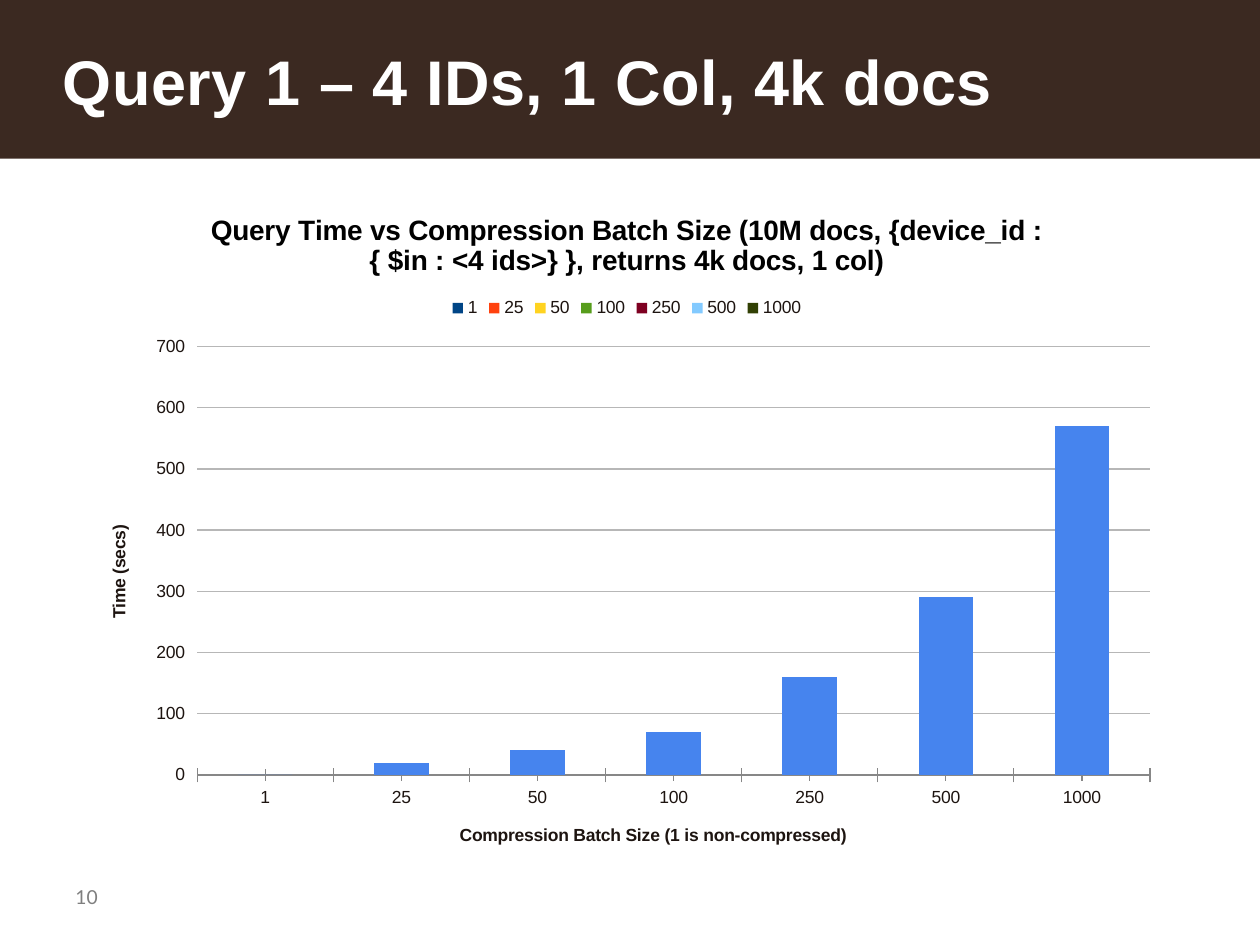
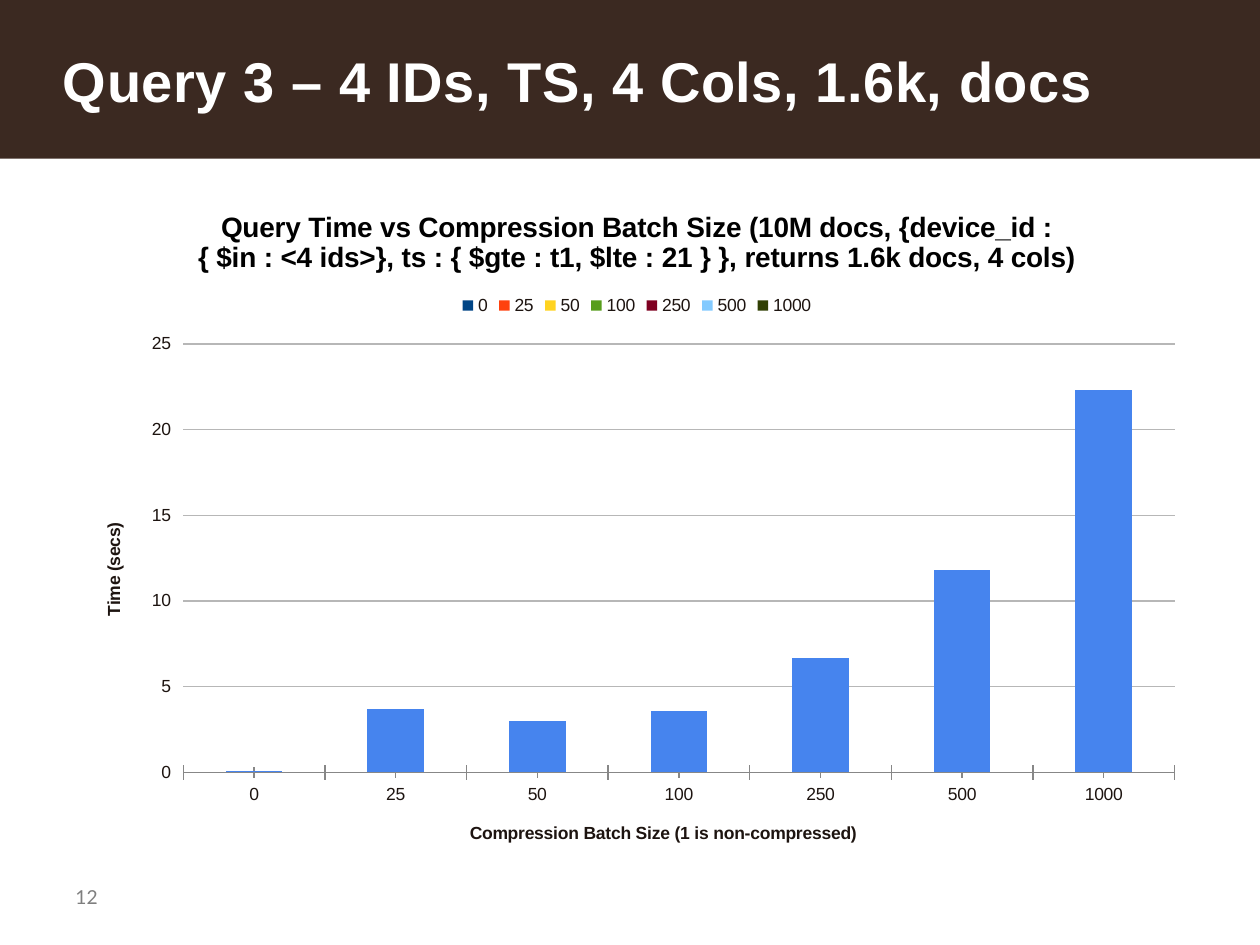
from pptx import Presentation
from pptx.chart.data import CategoryChartData
from pptx.dml.color import RGBColor
from pptx.enum.chart import XL_CHART_TYPE, XL_LEGEND_POSITION, XL_TICK_MARK
from pptx.enum.shapes import MSO_SHAPE
from pptx.enum.text import MSO_ANCHOR
from pptx.util import Inches, Pt

BROWN, WHITE, GRAY = "3B2921", "FFFFFF", "7F7F7F"
INK, BLACK, BLUE, GRID, AXIS = "1D1410", "000000", "4684EE", "B7B7B7", "878787"
BODY_FONT, NUMBER_FONT = "Arial", "Lato"
BAND_BOX = (0, 0, 10, 1.26)
TITLE_BOX = (0.5, 0.01, 9, 1.25)
NUMBER_BOX = (0.5, 6.98, 2.34, 0.28)


def color(value):
    return RGBColor.from_string(value)


def place(box):
    return [Inches(length) for length in box]


def style(font, size, hue, bold=False, name=BODY_FONT):
    font.name, font.size, font.bold = name, Pt(size), bold
    font.color.rgb = color(hue)


def add_text(page, box, text, size, hue, bold=False, name=BODY_FONT):
    shape = page.shapes.add_textbox(*place(box))
    shape.text_frame.word_wrap = True
    paragraph = shape.text_frame.paragraphs[0]
    paragraph.text = text
    style(paragraph.font, size, hue, bold, name)
    return shape.text_frame


def add_header(page, title, size):
    # Dark band across the top
    band = page.shapes.add_shape(MSO_SHAPE.RECTANGLE, *place(BAND_BOX))
    band.shadow.inherit = False
    band.fill.solid()
    band.fill.fore_color.rgb = color(BROWN)
    band.line.fill.background()
    # Slide title, slightly letterspaced
    frame = add_text(page, TITLE_BOX, title, size, WHITE, bold=True)
    frame.vertical_anchor = MSO_ANCHOR.MIDDLE
    frame.margin_left = frame.margin_right = 0
    frame.margin_top = frame.margin_bottom = 0
    frame.paragraphs[0].runs[0].font._element.set("spc", "30")


def add_footer(page, number):
    add_text(page, NUMBER_BOX, str(number), 11, GRAY, name=NUMBER_FONT)


def set_heading(owner, text, size, hue):
    frame = owner.text_frame
    frame.text = text
    style(frame.paragraphs[0].font, size, hue, bold=True)


def add_time_chart(page, box, heading, batch_sizes, seconds, top, step):
    data = CategoryChartData()
    data.categories = batch_sizes
    data.add_series("Time", seconds)
    chart = page.shapes.add_chart(
        XL_CHART_TYPE.COLUMN_CLUSTERED, *place(box), data).chart
    style(chart.font, 10, INK)
    chart.has_title = True
    set_heading(chart.chart_title, heading, 16, BLACK)
    chart.chart_title.include_in_layout = False

    # Legend lists every batch size
    chart.has_legend = True
    chart.legend.position = XL_LEGEND_POSITION.TOP
    chart.legend.include_in_layout = False
    plot = chart.plots[0]
    plot.vary_by_categories = True
    plot.gap_width = 150
    bars = plot.series[0]
    bars.invert_if_negative = False
    bars.format.fill.solid()
    bars.format.fill.fore_color.rgb = color(BLUE)

    # Axes
    sizes, times = chart.category_axis, chart.value_axis
    for axis, label in ((sizes, "Compression Batch Size (1 is non-compressed)"),
                        (times, "Time (secs)")):
        set_heading(axis.axis_title, label, 10, INK)
        axis.major_tick_mark = axis.minor_tick_mark = XL_TICK_MARK.CROSS
    sizes.format.line.color.rgb = color(AXIS)
    times.format.line.fill.background()
    times.minimum_scale, times.maximum_scale, times.major_unit = 0, top, step
    grid = times.major_gridlines.format.line
    grid.color.rgb = color(GRID)
    grid.width = Pt(0.75)


def add_query_page(deck, title, title_size, number, **chart):
    page = deck.slides.add_slide(deck.slide_layouts[6])
    add_header(page, title, title_size)
    add_footer(page, number)
    add_time_chart(page, **chart)


deck = Presentation()
deck.slide_width, deck.slide_height = Inches(10), Inches(7.5)
compressed = [25, 50, 100, 250, 500, 1000]
heading_start = "Query Time vs Compression Batch Size (10M docs, {device_id : { $in : <4 ids>}"

add_query_page(
    deck, "Query 1 – 4 IDs, 1 Col, 4k docs", 36, 10,
    box=(0.65, 1.48, 8.65, 5.44),
    heading=heading_start + " }, returns 4k docs, 1 col)",
    batch_sizes=[1] + compressed,
    seconds=[0, 20, 40, 70, 160, 290, 570], top=700, step=100)

add_query_page(
    deck, "Query 3 – 4 IDs, TS, 4 Cols, 1.6k, docs", 32, 12,
    box=(0.61, 1.46, 8.89, 5.44),
    heading=heading_start + ", ts : { $gte : t1, $lte : 21 } }, returns 1.6k docs, 4 cols)",
    batch_sizes=[0] + compressed,
    seconds=[0.1, 3.7, 3, 3.6, 6.7, 11.8, 22.3], top=25, step=5)

deck.save("out.pptx")
